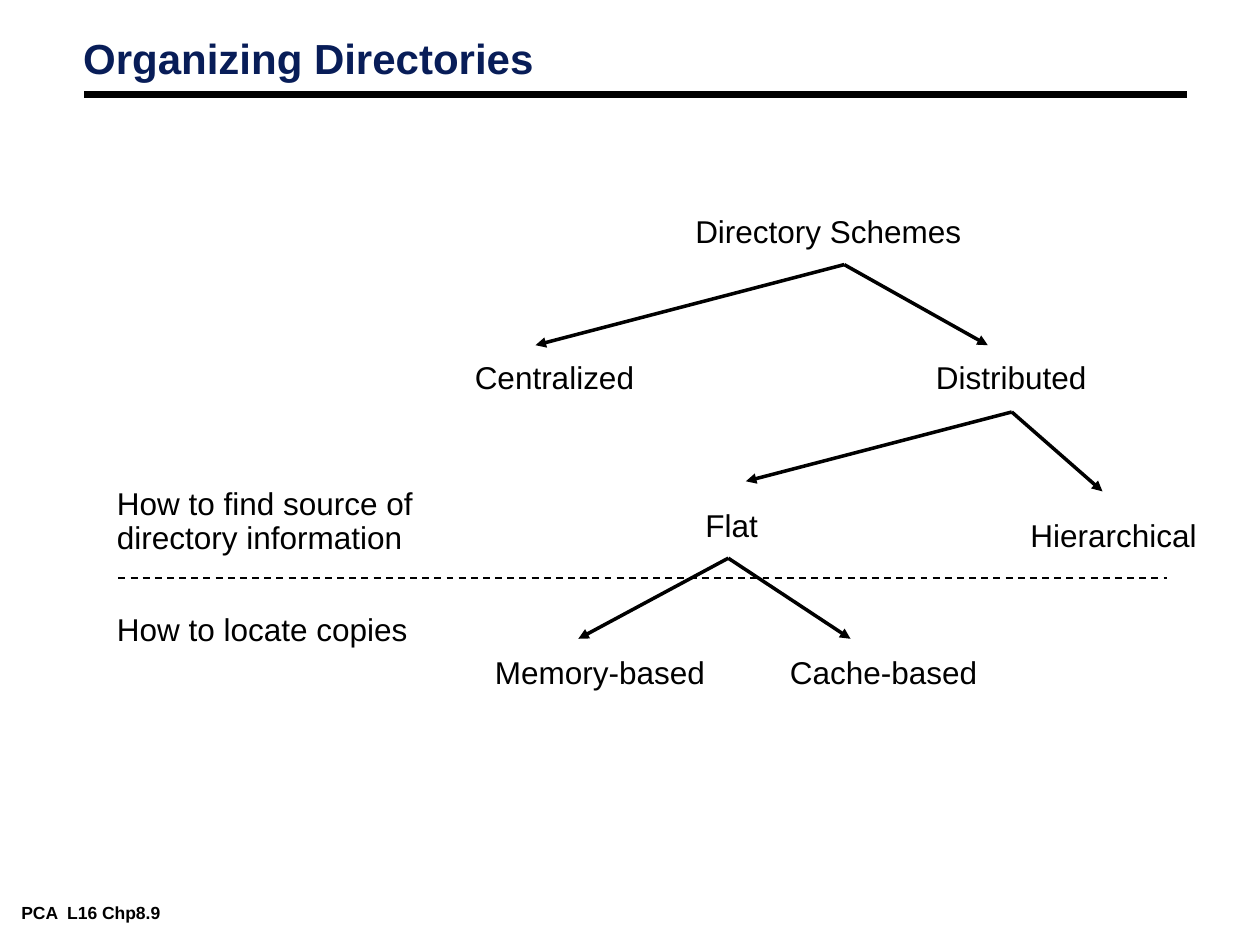
"""Builds the "Organizing Directories" slide: a tree of directory schemes."""
from lxml.etree import SubElement
from pptx import Presentation
from pptx.dml.color import RGBColor
from pptx.enum.dml import MSO_LINE
from pptx.enum.shapes import MSO_CONNECTOR
from pptx.enum.text import MSO_ANCHOR, MSO_AUTO_SIZE, PP_ALIGN
from pptx.oxml.ns import qn
from pptx.util import Inches, Pt

THEME = {
    "font": "Arial",
    "ink": RGBColor(0x00, 0x00, 0x00),
    "title": RGBColor(0x08, 0x1D, 0x58),
    "title_size": 24,
    "label_size": 18,
    "footer_size": 10,
}
TIGHT, ROOMY = (0.07, 0.03), (0.1, 0.05)

TITLE = ("Organizing Directories", (0.59, 0.28, 4.17, 0.4))
FOOTER = ("PCA  L16 Chp8.9", (0.1, 7.13, 1.84, 0.22))
LABELS = [
    ("Directory Schemes", (5.42, 1.67, 2.33, 0.37)),
    ("Centralized", (3.67, 2.83, 1.5, 0.37)),
    ("Distributed", (7.33, 2.83, 1.43, 0.37)),
    ("Flat", (5.5, 4, 0.64, 0.37)),
    ("Hierarchical", (8.08, 4.08, 1.54, 0.37)),
    ("Memory-based", (3.83, 5.17, 1.89, 0.37)),
    ("Cache-based", (6.17, 5.17, 1.71, 0.37)),
    ("How to find source of\ndirectory information", (0.83, 3.83, 2.57, 0.64)),
    ("How to locate copies", (0.83, 4.83, 2.53, 0.37)),
]
BRANCHES = [
    ((6.7, 2.1), [(4.25, 2.74), (7.84, 2.74)]),
    ((8.03, 3.27), [(5.92, 3.82), (8.75, 3.9)]),
    ((5.78, 4.43), [(4.59, 5.07), (6.75, 5.07)]),
]
TITLE_RULE = ((0.67, 0.75), (9.42, 0.75))
DIVIDER = ((0.94, 4.59), (9.26, 4.59))


def write(box, text, size, color, insets, bold=False, spacing=1.0, wrap=False):
    frame = box.text_frame
    frame.text = text
    frame.word_wrap = wrap
    frame.auto_size = MSO_AUTO_SIZE.SHAPE_TO_FIT_TEXT
    frame.vertical_anchor = MSO_ANCHOR.TOP
    frame.margin_left = frame.margin_right = Inches(insets[0])
    frame.margin_top = frame.margin_bottom = Inches(insets[1])
    for para in frame.paragraphs:
        para.alignment = PP_ALIGN.LEFT
        para.line_spacing = spacing
        for span in para.runs:
            span.font.name = THEME["font"]
            span.font.size = Pt(size)
            span.font.bold = bold
            span.font.color.rgb = color


def add_text(slide, text, place, **style):
    box = slide.shapes.add_textbox(*map(Inches, place))
    write(box, text, color=THEME["ink"], **style)


def add_line(slide, start, end, width, dash=None, arrow=False):
    ends = map(Inches, (*start, *end))
    line = slide.shapes.add_connector(MSO_CONNECTOR.STRAIGHT, *ends)
    line.line.color.rgb = THEME["ink"]
    line.line.width = Pt(width)
    if dash:
        line.line.dash_style = dash
    properties = line.element.spPr
    if arrow:
        SubElement(properties.find(qn("a:ln")), qn("a:tailEnd"), type="triangle")
    SubElement(properties, qn("a:effectLst"))


def main():
    deck = Presentation()
    deck.slide_width, deck.slide_height = Inches(10), Inches(7.5)
    slide = deck.slides.add_slide(deck.slide_layouts[5])

    text, place = TITLE
    title = slide.shapes.title
    title.left, title.top, title.width, title.height = map(Inches, place)
    write(title, text, THEME["title_size"], THEME["title"], TIGHT,
          bold=True, spacing=0.87, wrap=True)
    add_line(slide, *TITLE_RULE, width=4.5)
    add_text(slide, *FOOTER, size=THEME["footer_size"], insets=TIGHT, bold=True)

    for parent, children in BRANCHES:
        for child in children:
            add_line(slide, parent, child, width=2, arrow=True)
    add_line(slide, *DIVIDER, width=1, dash=MSO_LINE.DASH)
    for text, place in LABELS:
        add_text(slide, text, place, size=THEME["label_size"],
                 insets=ROOMY, spacing=0.9)

    deck.save("out.pptx")


if __name__ == "__main__":
    main()
